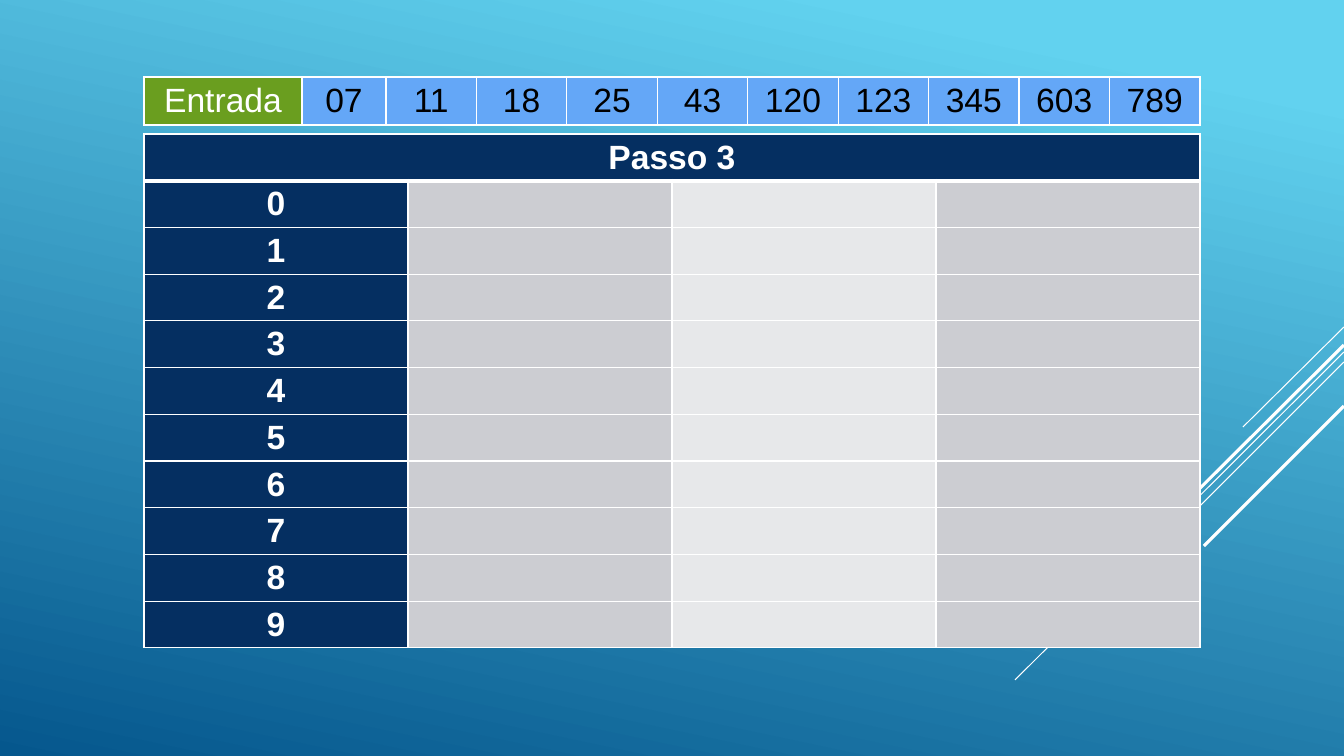
"""Build the radix sort slide: input row and the buckets of step 3."""
from copy import deepcopy

from lxml.etree import SubElement
from pptx import Presentation
from pptx.dml.color import RGBColor
from pptx.enum.shapes import MSO_CONNECTOR
from pptx.enum.text import MSO_ANCHOR, PP_ALIGN
from pptx.oxml.ns import qn
from pptx.util import Emu, Pt

INPUT = ["Entrada", "07", "11", "18", "25", "43", "120", "123", "345", "603", "789"]
TITLE = "Passo 3"
DIGITS = range(10)
RAYS = [
    ((1344, 327), (1243, 427), 0.75),
    ((1344, 352), (1015, 680), 0.75),
    ((1344, 362), (1135, 571), 0.75),
    ((1344, 345), (1151, 537), 2.25),
    ((1344, 406), (1204, 546), 2.25),
]

WHITE = RGBColor(0xFF, 0xFF, 0xFF)
BLACK = RGBColor(0x00, 0x00, 0x00)
NAVY = RGBColor(0x05, 0x2F, 0x61)
GREEN = RGBColor(0x6A, 0x9E, 0x1F)
BLUE = RGBColor(0x64, 0xA7, 0xF7)
GREY = RGBColor(0xCC, 0xCD, 0xD2)
PALE = RGBColor(0xE7, 0xE8, 0xEA)
SKY = RGBColor(0x62, 0xD2, 0xEF)
DEEP = RGBColor(0x05, 0x57, 0x8D)
STOPS = [(0, SKY), (0.1, SKY), (1, DEEP)]

WIDTH, HEIGHT = 1344, 756
LEFT = 144
INPUT_TOP, INPUT_ROW = 77, 48
STEP_TOP, STEP_WIDTH, STEP_HEIGHT = 134, 1056, 514
INPUT_COLS = [158, 84] + [814 / 9] * 9
STEP_COLS = [STEP_WIDTH / 4] * 4
STEP_ROWS = [STEP_HEIGHT / 11] * 11


def px(n):
    return Emu(round(n * 914400 / 100.8))


def paint(slide):
    fill = slide.background.fill
    fill.gradient()
    fill.gradient_angle = 258
    first = next(slide.element.iter(qn("a:gs")))
    first.addnext(deepcopy(first))
    for stop, (place, color) in zip(fill.gradient_stops, STOPS):
        stop.position = place
        stop.color.rgb = color


def add_ray(slide, start, end, width):
    ray = slide.shapes.add_connector(MSO_CONNECTOR.STRAIGHT, *map(px, start + end))
    ray.line.color.rgb = WHITE
    ray.line.width = Pt(width)
    SubElement(ray.element.spPr, qn("a:effectLst"))


def add_grid(slide, top, cols, rows):
    frame = slide.shapes.add_table(
        len(rows), len(cols), px(LEFT), px(top), px(sum(cols)), px(sum(rows)))
    grid = frame.table
    grid.first_row = grid.horz_banding = False
    for col, width in zip(grid.columns, cols):
        col.width = px(width)
    for row, height in zip(grid.rows, rows):
        row.height = px(height)
    return grid


def style(cell, fill, text="", color=WHITE, bold=False, top=1, bottom=1):
    cell.fill.solid()
    cell.fill.fore_color.rgb = fill
    cell.vertical_anchor = MSO_ANCHOR.MIDDLE
    cell.margin_top = cell.margin_bottom = px(4)
    props = cell._tc.get_or_add_tcPr()
    sides = [("a:lnL", 1), ("a:lnR", 1), ("a:lnT", top), ("a:lnB", bottom)]
    for i, (tag, width) in enumerate(sides):
        line = SubElement(props, qn(tag), w=str(Pt(width)))
        SubElement(SubElement(line, qn("a:solidFill")), qn("a:srgbClr"), val=str(WHITE))
        props.insert(i, line)
    if text:
        cell.text = text
        para = cell.text_frame.paragraphs[0]
        para.alignment = PP_ALIGN.CENTER
        para.font.name = "Arial"
        para.font.size = Pt(24)
        para.font.bold = bold
        para.font.color.rgb = color


def add_step(slide):
    grid = add_grid(slide, STEP_TOP, STEP_COLS, STEP_ROWS)
    grid.cell(0, 0).merge(grid.cell(0, 3))
    for c in range(4):
        style(grid.cell(0, c), NAVY, "" if c else TITLE, bold=True, bottom=3)
    for r, digit in enumerate(DIGITS, 1):
        top = 3 if r == 1 else 1
        style(grid.cell(r, 0), NAVY, str(digit), bold=True, top=top)
        for c, fill in enumerate([GREY, PALE, GREY], 1):
            style(grid.cell(r, c), fill, top=top)


def add_input(slide):
    grid = add_grid(slide, INPUT_TOP, INPUT_COLS, [INPUT_ROW])
    for c, text in enumerate(INPUT):
        style(grid.cell(0, c), BLUE if c else GREEN, text, BLACK if c else WHITE)


def main():
    deck = Presentation()
    deck.slide_width, deck.slide_height = px(WIDTH), px(HEIGHT)
    slide = deck.slides.add_slide(deck.slide_layouts[6])
    paint(slide)
    for ray in RAYS:
        add_ray(slide, *ray)
    add_step(slide)
    add_input(slide)
    deck.save("out.pptx")


if __name__ == "__main__":
    main()
